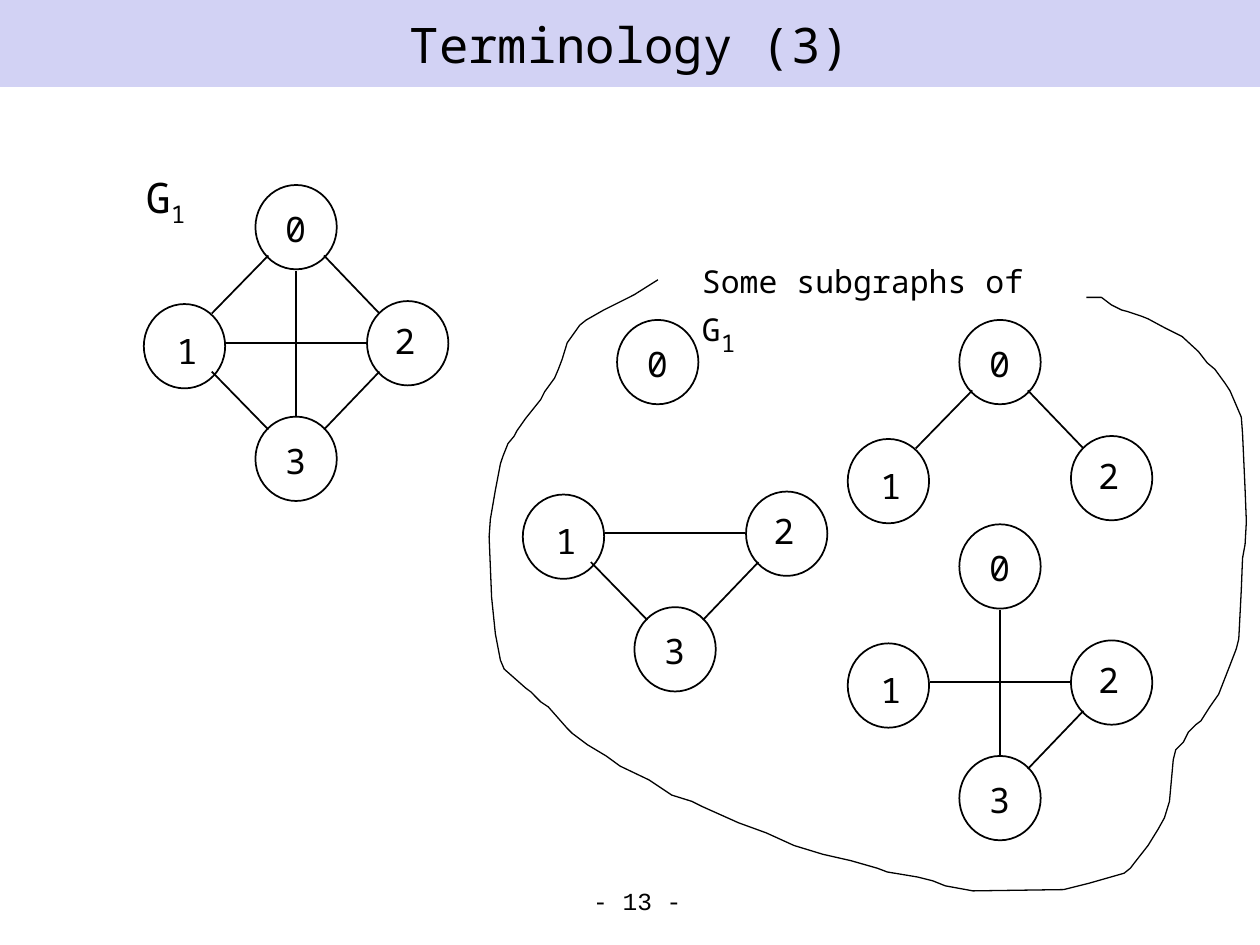
import pptx
import pptx.dml.color
import pptx.enum.shapes
import pptx.enum.text
import pptx.oxml.ns
import pptx.util
from lxml import etree

Cm = pptx.util.Cm
Pt = pptx.util.Pt
ALIGN = pptx.enum.text.PP_ALIGN
BLACK = pptx.dml.color.RGBColor(0x00, 0x00, 0x00)
WHITE = pptx.dml.color.RGBColor(0xFF, 0xFF, 0xFF)
LAVENDER = pptx.dml.color.RGBColor(0xD2, 0xD2, 0xF4)
MONO = "Noto Sans Mono"

NODE_W, NODE_H = 1.64, 1.7
NODES = {"0": (2.25, 0), "1": (0, 2.4), "2": (4.5, 2.34), "3": (2.25, 4.67)}
LABELS = {"0": (2.6, 0.33), "1": (0.41, 2.78), "2": (4.8, 2.58), "3": (2.6, 5)}
EDGES = {
    "03": (3.07, 1.73, 3.07, 4.65),
    "12": (1.66, 3.18, 4.48, 3.18),
    "13": (1.37, 3.76, 2.51, 4.93),
    "02": (3.63, 1.42, 4.75, 2.59),
    "01": (1.37, 2.59, 2.51, 1.42),
    "23": (3.63, 4.93, 4.75, 3.76),
}
SUBGRAPHS = [
    (17.09, 6.45, "012", ["02", "01"]),
    (10.19, 6.45, "0", []),
    (10.54, 7.57, "123", ["12", "13", "23"]),
    (17.09, 10.57, "0123", ["03", "12", "23"]),
]
OUTLINE = [
    (134, 0), (115, 12), (91, 24), (77, 32), (72, 36), (67, 43), (62, 50),
    (58, 63), (55, 71), (52, 78), (44, 89), (41, 95), (29, 110), (22, 120),
    (20, 124), (15, 130), (11, 140), (9, 146), (5, 167), (1, 190), (0, 204),
    (2, 252), (5, 281), (9, 302), (12, 309), (29, 324), (33, 327), (41, 335),
    (47, 339), (62, 356), (66, 360), (78, 369), (93, 378), (104, 386),
    (127, 397), (145, 409), (161, 414), (169, 418), (198, 431), (220, 439),
    (242, 449), (265, 456), (287, 461), (308, 467), (316, 470), (340, 474),
    (352, 477), (362, 481), (384, 485), (456, 484), (476, 479), (504, 471),
    (509, 467), (512, 463), (523, 449), (531, 436), (536, 427), (540, 414),
    (543, 381), (545, 373), (551, 367), (555, 359), (561, 353), (565, 350),
    (572, 339), (579, 329), (588, 306), (593, 293), (595, 285), (597, 246),
    (598, 221), (600, 210), (601, 192), (600, 166), (598, 122), (597, 109),
    (591, 95), (588, 88), (584, 82), (576, 71), (570, 66), (563, 57),
    (550, 45), (536, 38), (523, 31), (518, 29), (506, 25), (502, 24),
    (494, 20), (486, 14), (474, 14),
]


def style(p, size, font=MONO):
    """Format every run of a paragraph."""
    for r in p.runs:
        r.font.size, r.font.name, r.font.color.rgb = Pt(size), font, BLACK


def add_text(shapes, box, text, size, font=MONO, align=ALIGN.LEFT, wrap=False):
    """Add a one-paragraph text box and return it."""
    sp = shapes.add_textbox(*map(Cm, box))
    sp.text_frame.text = text
    sp.text_frame.word_wrap = wrap
    p = sp.text_frame.paragraphs[0]
    p.alignment = align
    style(p, size, font)
    return sp


def add_subscript(sp, text):
    """Append a 24 pt subscript to the first paragraph of a shape."""
    r = sp.text_frame.paragraphs[0].add_run()
    r.text = text
    r.font.size, r.font.name, r.font.color.rgb = Pt(24), MONO, BLACK
    r._r.get_or_add_rPr().set("baseline", "-25000")


def add_title(s, text, width, height):
    """Turn the title placeholder into a filled band."""
    sp = s.shapes.title
    sp.left, sp.top, sp.width, sp.height = 0, 0, Cm(width), Cm(height)
    sp.fill.solid()
    sp.fill.fore_color.rgb = LAVENDER
    tf = sp.text_frame
    tf.text = text
    tf.auto_size = pptx.enum.text.MSO_AUTO_SIZE.NONE
    tf.vertical_anchor = pptx.enum.text.MSO_ANCHOR.MIDDLE
    tf.paragraphs[0].alignment = ALIGN.CENTER
    style(tf.paragraphs[0], 28)


def add_graph(shapes, x, y, nodes, edges):
    """Draw the chosen nodes and edges of the diamond graph from its corner."""
    for node in nodes:
        dx, dy = NODES[node]
        sp = shapes.add_shape(pptx.enum.shapes.MSO_SHAPE.OVAL,
                              Cm(x + dx), Cm(y + dy), Cm(NODE_W), Cm(NODE_H))
        sp.shadow.inherit = False
        sp.fill.background()
        sp.line.color.rgb, sp.line.width = BLACK, Pt(1)
    for edge in edges:
        x1, y1, x2, y2 = EDGES[edge]
        line = shapes.add_connector(pptx.enum.shapes.MSO_CONNECTOR.STRAIGHT,
                                    Cm(x + x1), Cm(y + y1), Cm(x + x2), Cm(y + y2))
        line.line.color.rgb, line.line.width = BLACK, Pt(1)
        etree.SubElement(line._element.spPr, pptx.oxml.ns.qn("a:effectLst"))
    for node in nodes:
        dx, dy = LABELS[node]
        add_text(shapes, (x + dx, y + dy, 0.91, 1.12), node, 20)


def add_outline(s, x, y):
    """Draw the open hand-drawn loop around the subgraphs."""
    fb = s.shapes.build_freeform(*OUTLINE[0], scale=Cm(0.0254))
    fb.add_line_segments(OUTLINE[1:], close=False)
    sp = fb.convert_to_shape(Cm(x), Cm(y))
    sp.shadow.inherit = False
    sp.fill.background()
    sp.line.color.rgb, sp.line.width = BLACK, Pt(0.75)


def add_subgraphs(s, x, y):
    """Place the subgraphs, their caption and the loop around them."""
    for subgraph in SUBGRAPHS:
        add_graph(s.shapes, *subgraph)
    sp = add_text(s.shapes, (x + 4.04, y - 0.48, 7.52, 1.02),
                  "Some subgraphs of G", 18, wrap=True)
    sp.fill.solid()
    sp.fill.fore_color.rgb = WHITE
    add_subscript(sp, "1")
    add_outline(s, x, y)


def main():
    """Build the slide and save it."""
    prs = pptx.Presentation()
    prs.slide_width, prs.slide_height = Cm(25.4), Cm(19.05)
    s = prs.slides.add_slide(prs.slide_layouts[5])
    add_title(s, "Terminology (3)", 25.4, 1.75)
    add_text(s.shapes, (8.71, 17.73, 5.28, 0.79), "- 13 -", 14,
             "Courier New", ALIGN.RIGHT, True)
    add_graph(s.shapes.add_group_shape().shapes, 2.9, 3.73, NODES, EDGES)
    add_subscript(add_text(s.shapes, (2.69, 3.33, 1.35, 1.27), "G", 24), "1")
    add_subgraphs(s, 9.86, 5.64)
    prs.save("out.pptx")


if __name__ == "__main__":
    main()
